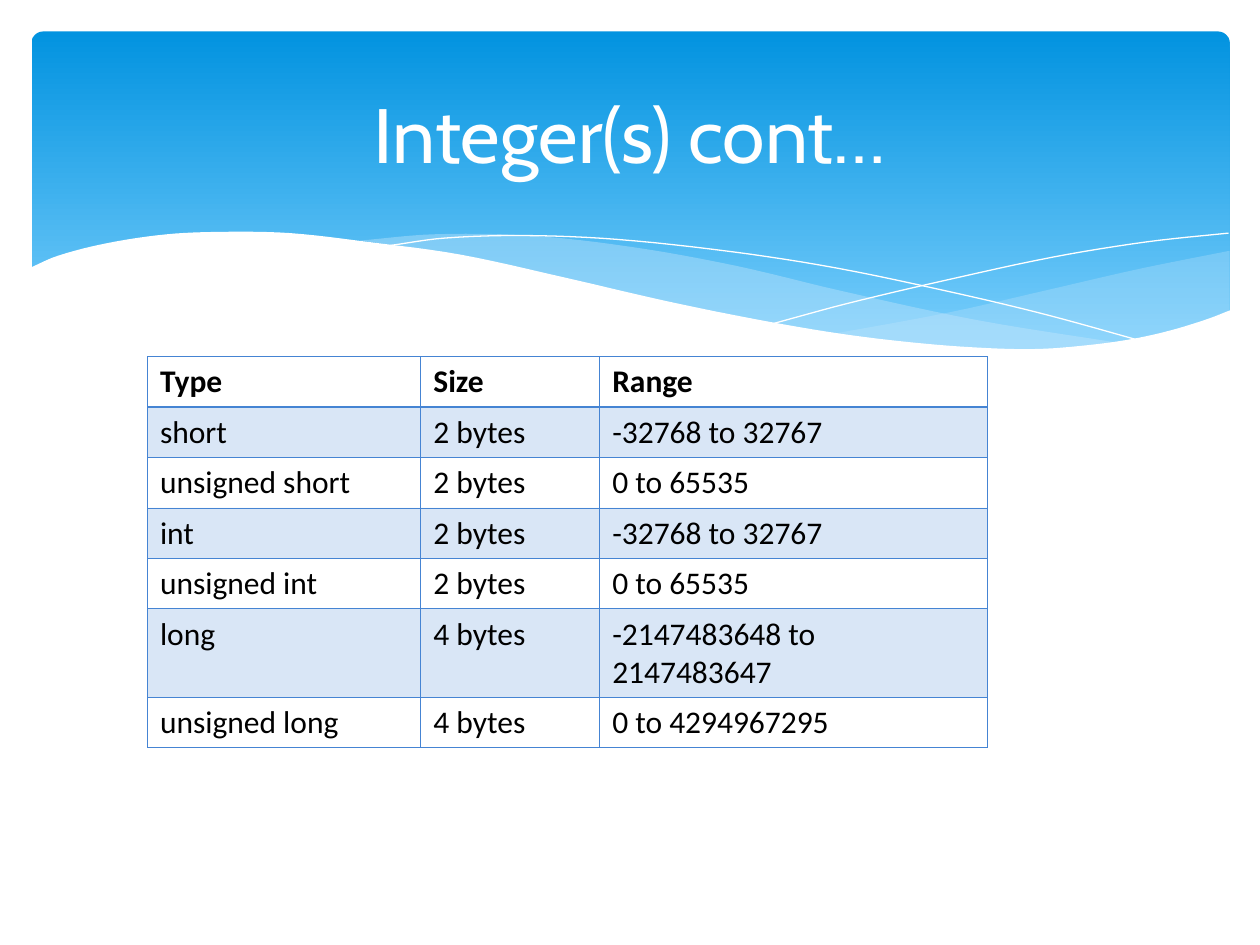
import pptx
import pptx.util
import pptx.dml.color
import pptx.enum.shapes
import pptx.enum.text
import pptx.oxml
import pptx.oxml.ns

Inches = pptx.util.Inches
Pt = pptx.util.Pt
RGBColor = pptx.dml.color.RGBColor
Align = pptx.enum.text.PP_ALIGN
Anchor = pptx.enum.text.MSO_ANCHOR

WHITE = RGBColor(0xFF, 0xFF, 0xFF)
BLACK = RGBColor(0x00, 0x00, 0x00)
DEEP = RGBColor(0x02, 0x93, 0xE0)
SKY = RGBColor(0x83, 0xD3, 0xFE)
PALE = RGBColor(0xC6, 0xE7, 0xFC)
BLUE = RGBColor(0x45, 0x84, 0xD3)

RIGHT = [(9.51, 1.74), (8.81, 1.88), (8.07, 2.05), (7.28, 2.23), (6.36, 2.4)]
UNDER = [(6.36, 2.4), (7.07, 2.49), (7.78, 2.53), (8.47, 2.49), (9.03, 2.38),
         (9.51, 2.22)]
CREST = [(2.61, 1.66), (3.19, 1.61), (3.95, 1.62), (4.76, 1.71), (5.59, 1.86),
         (6.43, 2.06), (7.5, 2.29), (8.68, 2.48)]
BELLY = [(8.68, 2.48), (8.13, 2.53), (7.48, 2.52), (6.7, 2.45), (5.76, 2.3),
         (4.66, 2.07), (3.79, 1.86), (3.17, 1.74), (2.61, 1.66)]
FALL = [(2.84, 1.7), (3.28, 1.64), (3.91, 1.62), (4.64, 1.65), (5.57, 1.75),
        (6.4, 1.88), (7.35, 2.08), (8.06, 2.25), (8.82, 2.46)]
RISE = [(5.88, 2.32), (6.47, 2.16), (7.23, 1.98), (8.11, 1.79), (8.85, 1.67),
        (9.5, 1.6)]
SHORE = [(-0.02, 1.88), (0.21, 1.78), (0.6, 1.68), (1.07, 1.61), (1.51, 1.59),
         (2.05, 1.6), (2.67, 1.67), (3.4, 1.77), (4.22, 1.95), (5.04, 2.14),
         (5.78, 2.29), (6.43, 2.4), (7.01, 2.47), (7.53, 2.51), (7.98, 2.52),
         (8.38, 2.49), (8.74, 2.44), (9.05, 2.37), (9.34, 2.28), (9.52, 2.21)]
FLOOR = [(9.52, 3.04), (-0.02, 3.04)]

ROWS = [
    ("Type", "Size", "Range"),
    ("short", "2 bytes", "-32768 to 32767"),
    ("unsigned short", "2 bytes", "0 to 65535"),
    ("int", "2 bytes", "-32768 to 32767"),
    ("unsigned int", "2 bytes", "0 to 65535"),
    ("long", "4 bytes", "-2147483648 to 2147483647"),
    ("unsigned long", "4 bytes", "0 to 4294967295"),
]
COLS = (2.17, 1.42, 3.08)


def write(frame, text, font="Calibri", size=18, color=BLACK, bold=False,
          align=Align.LEFT):
    para = frame.paragraphs[0]
    para.alignment = align
    run = para.add_run()
    run.text = text
    run.font.name = font
    run.font.size = Pt(size)
    run.font.color.rgb = color
    run.font.bold = bold


def tint(fill, color, alpha=100):
    fill.solid()
    fill.fore_color.rgb = color
    if alpha < 100:
        node = next(fill._xPr.iter(pptx.oxml.ns.qn("a:srgbClr")))
        node.append(pptx.oxml.parse_xml(
            f'<a:alpha {pptx.oxml.ns.nsdecls("a")} val="{alpha * 1000}"/>'))


def smooth(knots, steps=6):
    last = len(knots) - 1
    slopes = []
    for i in range(last + 1):
        (ax, ay), (bx, by) = knots[max(i - 1, 0)], knots[min(i + 1, last)]
        slopes.append((by - ay) / (bx - ax))
    out = [knots[0]]
    for i in range(last):
        (ax, ay), (bx, by) = knots[i:i + 2]
        gap = bx - ax
        for k in range(1, steps + 1):
            t = k / steps
            ease = t * t * (3 - 2 * t)
            bend = slopes[i] * t * (1 - t) ** 2 - slopes[i + 1] * t * t * (1 - t)
            out.append((ax + gap * t, ay + (by - ay) * ease + gap * bend))
    return out


def wave(slide, left, top, points, color, alpha=100, closed=True):
    spots = [(Inches(left + x), Inches(top + y)) for x, y in points]
    pen = slide.shapes.build_freeform(*spots[0])
    pen.add_line_segments(spots[1:], close=closed)
    shape = pen.convert_to_shape()
    shape.shadow.inherit = False
    if closed:
        tint(shape.fill, color, alpha)
        shape.line.fill.background()
    else:
        shape.fill.background()
        shape.line.color.rgb = color
        shape.line.width = Pt(0)


def banner(slide, left, top, width, height):
    panel = slide.shapes.add_shape(
        pptx.enum.shapes.MSO_SHAPE.ROUNDED_RECTANGLE,
        Inches(left), Inches(top), Inches(width), Inches(height))
    panel.adjustments[0] = 0.034
    panel.shadow.inherit = False
    panel.line.fill.background()
    panel.fill.gradient()
    panel.fill.gradient_angle = 270
    for stop, color in zip(panel.fill.gradient_stops, (DEEP, SKY)):
        stop.color.rgb = color
    wave(slide, left, top, smooth(RIGHT) + smooth(UNDER), PALE, 29)
    wave(slide, left, top, smooth(CREST) + smooth(BELLY), PALE, 40)
    for line in (FALL, RISE):
        wave(slide, left, top, smooth(line), WHITE, closed=False)
    wave(slide, left, top, smooth(SHORE) + FLOOR, WHITE)


def title(slide, left, top, width, height):
    box = slide.shapes.add_textbox(
        Inches(left), Inches(top), Inches(width), Inches(height))
    frame = box.text_frame
    frame.word_wrap = True
    frame.vertical_anchor = Anchor.MIDDLE
    write(frame, "Integer(s) cont…", font="Cabin", size=44, color=WHITE,
          align=Align.CENTER)


def border(cell, row):
    props = cell._tc.get_or_add_tcPr()
    for i, side in enumerate("LRTB"):
        thick = (row, side) in ((0, "B"), (1, "T"))
        props.insert(i, pptx.oxml.parse_xml(
            f'<a:ln{side} {pptx.oxml.ns.nsdecls("a")} '
            f'w="{Pt(0.96 if thick else 0.45)}"><a:solidFill>'
            f'<a:srgbClr val="{BLUE}"/></a:solidFill></a:ln{side}>'))


def grid(slide, left, top, width, height):
    table = slide.shapes.add_table(
        len(ROWS), len(COLS), Inches(left), Inches(top),
        Inches(width), Inches(height)).table
    table.first_row = False
    table.horz_banding = False
    for col, size in zip(table.columns, COLS):
        col.width = Inches(size * width / sum(COLS))
    for r, texts in enumerate(ROWS):
        table.rows[r].height = Inches(0.7 if texts[0] == "long" else 0.4)
        for c, text in enumerate(texts):
            cell = table.cell(r, c)
            write(cell.text_frame, text, bold=r == 0)
            if r % 2:
                tint(cell.fill, BLUE, 20)
            else:
                cell.fill.background()
            border(cell, r)


def main():
    deck = pptx.Presentation()
    deck.slide_width = Inches(10)
    deck.slide_height = Inches(7.5)
    slide = deck.slides.add_slide(deck.slide_layouts[6])
    banner(slide, 0.25, 0.25, 9.51, 2.7)
    title(slide, 0.5, 0.37, 9, 1.37)
    grid(slide, 1.17, 2.83, 6.67, 3.13)
    deck.save("out.pptx")


if __name__ == "__main__":
    main()
